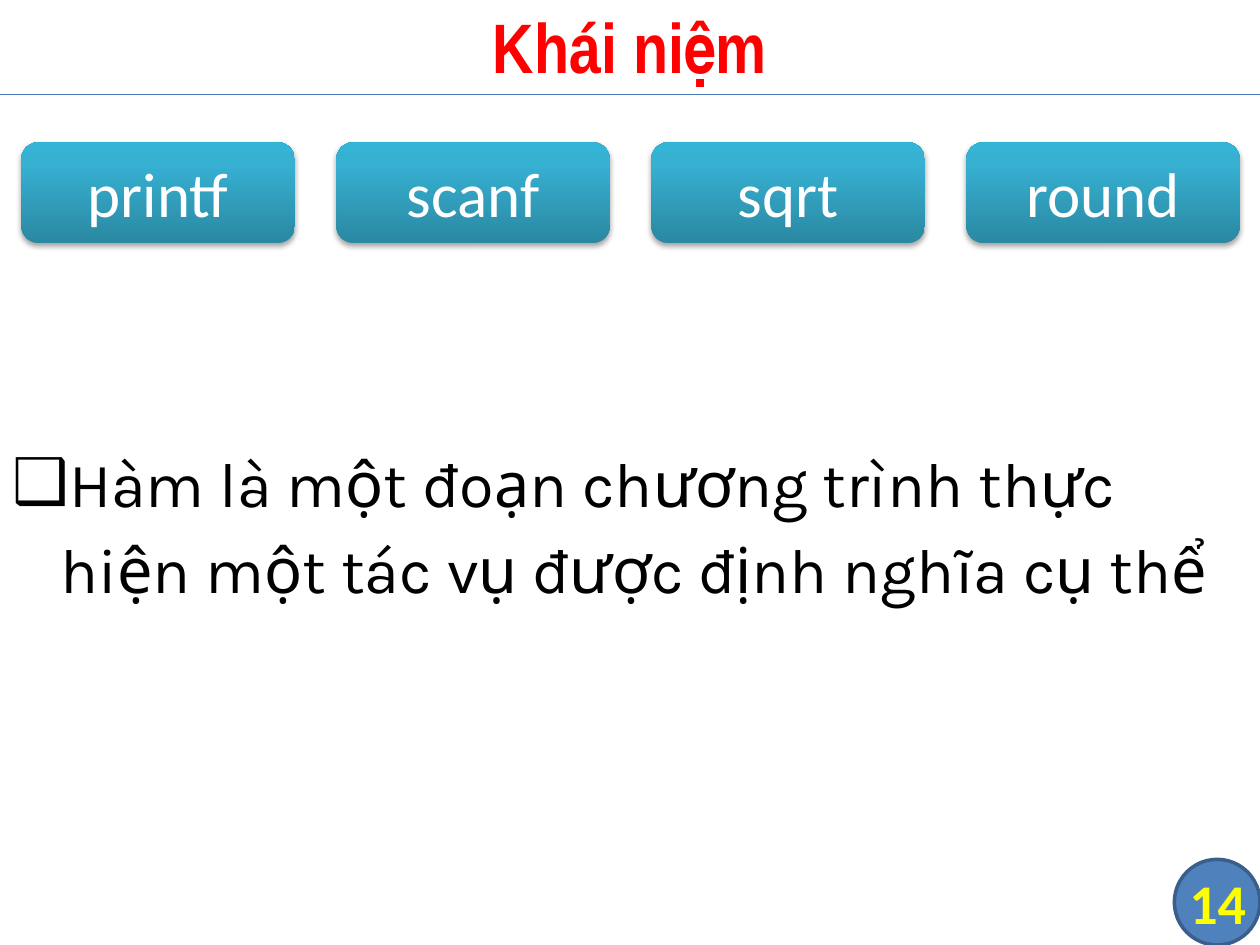
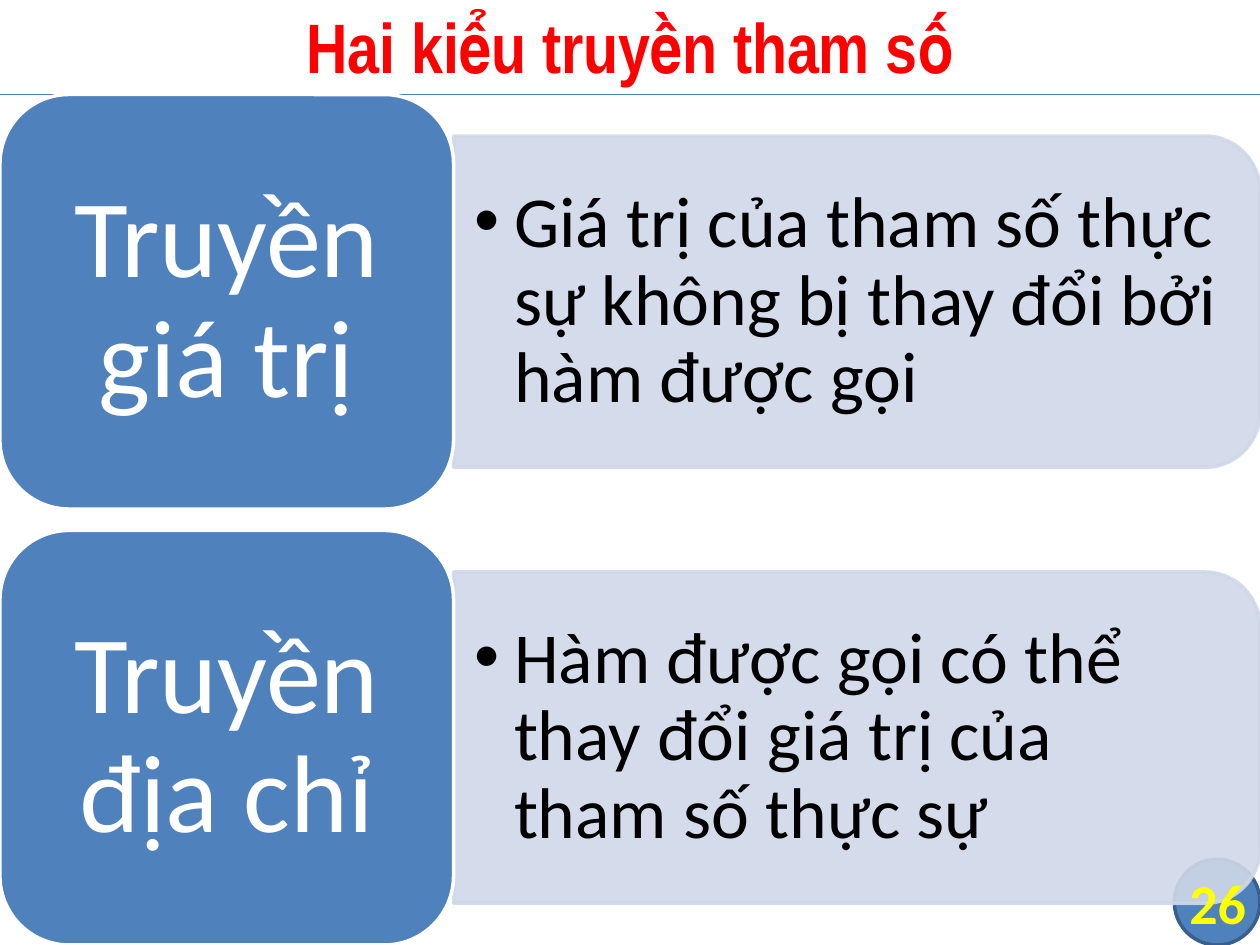
from copy import deepcopy

from lxml import etree
from pptx import Presentation
from pptx import util as u
from pptx.dml.color import RGBColor
from pptx.enum import shapes, text
from pptx.oxml import ns

RED = RGBColor(0xFF, 0x00, 0x00)
YELLOW = RGBColor(0xFF, 0xFF, 0x00)
WHITE = RGBColor(0xFF, 0xFF, 0xFF)
BLACK = RGBColor(0x00, 0x00, 0x00)
BLUE = RGBColor(0x4F, 0x81, 0xBD)
DARK_BLUE = RGBColor(0x3A, 0x5F, 0x8C)
RULE_BLUE = RGBColor(0x4B, 0x7E, 0xBC)
PALE_BLUE = RGBColor(0xD0, 0xD8, 0xE8)
BUTTON_STOPS = [
    (0, RGBColor(0x2A, 0x88, 0xA2)),
    (0.8, RGBColor(0x37, 0xB1, 0xD2)),
    (1, RGBColor(0x34, 0xB4, 0xD6)),
]

TITLE = {"name": "Arial Narrow", "size": u.Pt(40), "bold": True, "rgb": RED}
BODY = {"name": "Karla", "size": u.Pt(36), "bold": False, "rgb": BLACK}
NUMBER = {"name": "Calibri", "size": u.Pt(32), "bold": True, "rgb": YELLOW}
BUTTON = {"name": "Calibri", "size": u.Pt(36), "bold": False, "rgb": WHITE}
KIND = {"name": "Calibri", "size": u.Pt(63), "bold": False, "rgb": WHITE}
DETAIL = {"name": "Calibri", "size": u.Pt(41), "bold": False, "rgb": BLACK}

FUNCTIONS = ["printf", "scanf", "sqrt", "round"]
PASSING_KINDS = [
    ("Truyền giá trị",
     "Giá trị của tham số thực sự không bị thay đổi bởi hàm được gọi"),
    ("Truyền địa chỉ",
     "Hàm được gọi có thể thay đổi giá trị của tham số thực sự"),
]


def add_element(parent, tag, **attributes):
    """Append a drawing element with the given attributes."""
    values = {name: str(value) for name, value in attributes.items()}
    return etree.SubElement(parent, ns.qn(tag), values)


def place(box, left, top, width, height):
    """Move and size a box, in inches."""
    frame = {"left": left, "top": top, "width": width, "height": height}
    for name, value in frame.items():
        setattr(box, name, u.Inches(value))


def write(box, words, look, align=text.PP_ALIGN.CENTER, inset=(0.1, 0.05),
          spacing=1, bullet=None, indent=0):
    """Fill a box with one formatted, vertically centred paragraph."""
    frame = box.text_frame
    across, down = map(u.Inches, inset)
    settings = {"word_wrap": True, "auto_size": text.MSO_AUTO_SIZE.NONE,
                "vertical_anchor": text.MSO_ANCHOR.MIDDLE,
                "margin_left": across, "margin_right": across,
                "margin_top": down, "margin_bottom": down}
    for name, value in settings.items():
        setattr(frame, name, value)
    para = frame.paragraphs[0]
    layout = {"alignment": align, "line_spacing": spacing,
              "space_before": u.Pt(0)}
    for name, value in layout.items():
        setattr(para, name, value)
    if bullet:
        properties = para._p.get_or_add_pPr()
        properties.set("marL", str(u.Inches(indent)))
        properties.set("indent", str(-u.Inches(indent)))
        add_element(properties, "a:buFont", typeface="Arial")
        add_element(properties, "a:buChar", char=bullet)
    span = para.add_run()
    span.text = words
    for name, value in look.items():
        if name == "rgb":
            span.font.color.rgb = value
        else:
            setattr(span.font, name, value)


def add_box(page, kind, left, top, width, height, fill, line):
    """Add a flat preset shape with a two-point outline."""
    box = page.shapes.add_shape(
        kind, *map(u.Inches, (left, top, width, height)))
    box.shadow.inherit = False
    box.fill.solid()
    box.fill.fore_color.rgb = fill
    box.line.color.rgb = line
    box.line.width = u.Pt(2)
    return box


def add_label(page, words, look, left, top, width, height, **options):
    """Add a text box."""
    box = page.shapes.add_textbox(
        *map(u.Inches, (left, top, width, height)))
    write(box, words, look, **options)


def add_page(deck, layout, title):
    """Add a slide with its title, rule and number badge."""
    page = deck.slides.add_slide(deck.slide_layouts[layout])
    place(page.shapes.title, 0, -0.03, 10, 0.78)
    write(page.shapes.title, title, TITLE)
    add_box(page, shapes.MSO_SHAPE.FLOWCHART_CONNECTOR,
            9.32, 6.82, 0.68, 0.68, BLUE, DARK_BLUE)
    rule = page.shapes.add_connector(
        shapes.MSO_CONNECTOR.STRAIGHT,
        *map(u.Inches, (0, 0.75, 10, 0.75)))
    rule.line.color.rgb = RULE_BLUE
    rule.line.width = u.Pt(0.75)
    add_element(rule._element.spPr, "a:effectLst")
    return page


def add_number(page, number):
    """Write the slide number over its badge."""
    add_label(page, number, NUMBER, 9.33, 6.82, 0.67, 0.68, inset=(0, 0))


def add_button(page, words, left):
    """Add a gradient button with a soft shadow."""
    box = add_box(page, shapes.MSO_SHAPE.ROUNDED_RECTANGLE,
                  left, 1.13, 2.17, 0.8, BLUE, BLUE)
    box.line.fill.background()
    box.fill.gradient()
    box.fill.gradient_angle = 90
    properties = box._element.spPr
    stops = properties.find(".//" + ns.qn("a:gsLst"))
    stops.append(deepcopy(stops[-1]))
    for stop, (position, color) in zip(box.fill.gradient_stops, BUTTON_STOPS):
        stop.position = position
        stop.color.rgb = color
    shadow = add_element(
        properties.find(ns.qn("a:effectLst")), "a:outerShdw",
        blurRad=u.Pt(3.1), dist=u.Pt(1.8), dir=5400000, rotWithShape=0)
    color = add_element(shadow, "a:srgbClr", val=BLACK)
    add_element(color, "a:alpha", val=35000)
    write(box, words, BUTTON)


def add_passing_kind(page, kind, detail, top):
    """Add a tile naming a kind and the panel that explains it."""
    tile_width, tile_height = 3.6, 3.29
    panel_width, panel_height = 6.4, 2.63
    middle = top + tile_height / 2
    center = tile_width + panel_width / 2
    panel = add_box(page, shapes.MSO_SHAPE.ROUND_2_SAME_RECTANGLE,
                    center - panel_height / 2, middle - panel_width / 2,
                    panel_height, panel_width, PALE_BLUE, PALE_BLUE)
    panel.rotation = 90
    for color in panel._element.spPr.iter(ns.qn("a:srgbClr")):
        add_element(color, "a:alpha", val=90000)
    add_label(page, detail, DETAIL, tile_width, middle - 1.19, 6.27, 2.38,
              align=text.PP_ALIGN.LEFT, inset=(0.17, 0.09), spacing=0.9,
              bullet="•", indent=0.31)
    tile = add_box(page, shapes.MSO_SHAPE.ROUNDED_RECTANGLE,
                   0, top, tile_width, tile_height, BLUE, WHITE)
    write(tile, kind, KIND, inset=(0.26, 0.13), spacing=0.9)


def add_concept_page(deck):
    """Build the slide that defines a function."""
    page = add_page(deck, 1, "Khái niệm")
    body = page.placeholders[1]
    place(body, 0, 0.75, 10, 6.75)
    write(body, "Hàm là một đoạn chương trình thực hiện một tác vụ "
          "được định nghĩa cụ thể", BODY, align=text.PP_ALIGN.LEFT,
          spacing=1.14, bullet="❑", indent=0.38)
    body.text_frame.paragraphs[0].space_after = u.Pt(6)
    add_number(page, "14")
    for column, name in enumerate(FUNCTIONS):
        add_button(page, name, 0.17 + 2.5 * column)


def add_passing_page(deck):
    """Build the slide on the two kinds of parameter passing."""
    page = add_page(deck, 5, "Hai kiểu truyền tham số")
    for row, (kind, detail) in enumerate(PASSING_KINDS):
        add_passing_kind(page, kind, detail, 0.75 + 3.46 * row)
    add_number(page, "26")


def main():
    """Build and save the deck."""
    deck = Presentation()
    deck.slide_width = u.Inches(10)
    deck.slide_height = u.Inches(7.5)
    add_concept_page(deck)
    add_passing_page(deck)
    deck.save("out.pptx")


if __name__ == "__main__":
    main()
